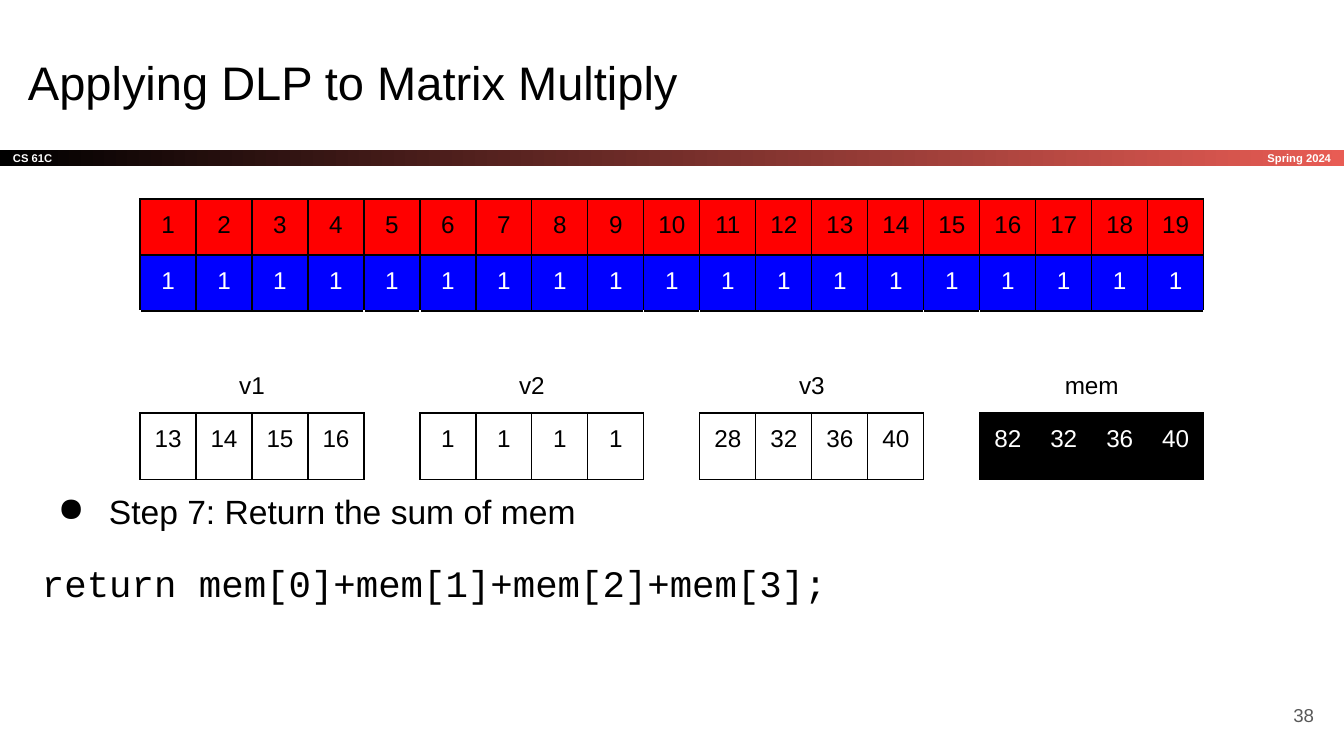
from lxml.etree import SubElement
from pptx import Presentation
from pptx.dml.color import RGBColor
from pptx.enum.shapes import MSO_SHAPE
from pptx.enum.text import MSO_ANCHOR, PP_ALIGN
from pptx.oxml.ns import qn
from pptx.util import Pt

PX = 914400 / 134.4
INSET = 13
COLORS = {
    "black": "000000",
    "white": "FFFFFF",
    "red": "FF0000",
    "blue": "0000FF",
    "coral": "E85C54",
    "gray": "595959",
}


def px(length):
    return round(length * PX)


def write(paragraph, text, size, color="black", font="Arial", align=PP_ALIGN.LEFT, bold=False):
    paragraph.text = text
    paragraph.alignment = align
    paragraph.font.name = font
    paragraph.font.size = Pt(size)
    paragraph.font.bold = bold
    paragraph.font.color.rgb = RGBColor.from_string(COLORS[color])


presentation = Presentation()
presentation.slide_width = px(1344)
presentation.slide_height = px(756)
slide = presentation.slides.add_slide(presentation.slide_layouts[6])
shapes = slide.shapes

banner = shapes.add_shape(MSO_SHAPE.RECTANGLE, 0, px(150), px(1344), px(16))
banner.shadow.inherit = False
banner.line.fill.background()
banner.fill.gradient()
banner.fill.gradient_angle = 0
for stop, position, color in zip(banner.fill.gradient_stops, (0, 1), ("black", "coral")):
    stop.position = position
    stop.color.rgb = RGBColor.from_string(COLORS[color])

term = shapes.add_textbox(px(1121), px(150), px(223), px(16))
title = shapes.add_textbox(px(15), px(40), px(1253), px(85))
body = shapes.add_textbox(px(29), px(472), px(1253), px(265))
page_number = shapes.add_textbox(px(1246), px(686), px(81), px(58))

for part in (banner, term, title, body, page_number):
    frame = part.text_frame
    frame.word_wrap = True
    frame.margin_left = frame.margin_right = px(INSET)
    frame.margin_top = frame.margin_bottom = px(INSET)
    frame.vertical_anchor = MSO_ANCHOR.TOP if part in (title, body) else MSO_ANCHOR.MIDDLE

write(banner.text_frame.paragraphs[0], "CS 61C", 6, "white", bold=True)
write(term.text_frame.paragraphs[0], "Spring 2024", 6, "white", align=PP_ALIGN.RIGHT, bold=True)
write(title.text_frame.paragraphs[0], "Applying DLP to Matrix Multiply", 25.2)
write(page_number.text_frame.paragraphs[0], "38", 10, "gray", align=PP_ALIGN.RIGHT)

step = body.text_frame.paragraphs[0]
step_properties = step._p.get_or_add_pPr()
step_properties.set("marL", str(px(67)))
step_properties.set("indent", str(px(-51)))
bullet_color = SubElement(step_properties, qn("a:buClr"))
SubElement(bullet_color, qn("a:srgbClr"), val=COLORS["black"])
SubElement(step_properties, qn("a:buChar"), char="●")
write(step, "Step 7: Return the sum of mem", 18)
step.line_spacing = 1.15

code = body.text_frame.add_paragraph()
write(code, "return mem[0]+mem[1]+mem[2]+mem[3];", 20, font="Courier New")
code.line_spacing = 1.15
code.space_before = code.space_after = Pt(12)

CELL = 56
COLUMNS = 19
LANES = 4
row_heights = (CELL, CELL, 102, CELL)
vectors = {
    "v1": (13, 14, 15, 16),
    "v2": (1, 1, 1, 1),
    "v3": (28, 32, 36, 40),
    "mem": (82, 32, 36, 40),
}
labels = [""] * COLUMNS
lanes = [""] * COLUMNS
for index, (name, values) in enumerate(vectors.items()):
    start = index * (LANES + 1)
    labels[start] = name
    lanes[start:start + LANES] = values
rows = (range(1, COLUMNS + 1), [1] * COLUMNS, labels, lanes)

matrix = shapes.add_table(
    len(rows), COLUMNS, px(140), px(199), px(CELL * COLUMNS), px(sum(row_heights))
).table
matrix.first_row = matrix.horz_banding = False
for column in matrix.columns:
    column.width = px(CELL)
for row, height in zip(matrix.rows, row_heights):
    row.height = px(height)

for r, row_values in enumerate(rows):
    for c, value in enumerate(row_values):
        is_gap = c % (LANES + 1) == LANES
        in_mem = r == 3 and c >= COLUMNS - LANES
        fill = "black" if in_mem else ("red", "blue", "white", "white")[r]
        ink = "white" if r == 1 or in_mem else "black"
        sides = "white" if r == 2 else "black"
        top = "white" if r == 3 and is_gap else "black"
        bottom = "white" if r >= 2 and is_gap else "black"

        cell = matrix.cell(r, c)
        cell.margin_left = cell.margin_right = px(INSET)
        cell.margin_top = cell.margin_bottom = px(INSET)
        cell.vertical_anchor = MSO_ANCHOR.BOTTOM if r == 2 else MSO_ANCHOR.TOP
        cell_properties = cell._tc.get_or_add_tcPr()
        for edge, color in (("L", sides), ("R", sides), ("T", top), ("B", bottom)):
            border = SubElement(cell_properties, qn(f"a:ln{edge}"), w=str(Pt(0.75)))
            border_fill = SubElement(border, qn("a:solidFill"))
            SubElement(border_fill, qn("a:srgbClr"), val=COLORS[color])
        cell.fill.solid()
        cell.fill.fore_color.rgb = RGBColor.from_string(COLORS[fill])
        if value != "":
            write(cell.text_frame.paragraphs[0], str(value), 13, ink, align=PP_ALIGN.CENTER)

for start in range(0, COLUMNS, LANES + 1):
    matrix.cell(2, start).merge(matrix.cell(2, start + LANES - 1))

presentation.save("out.pptx")
